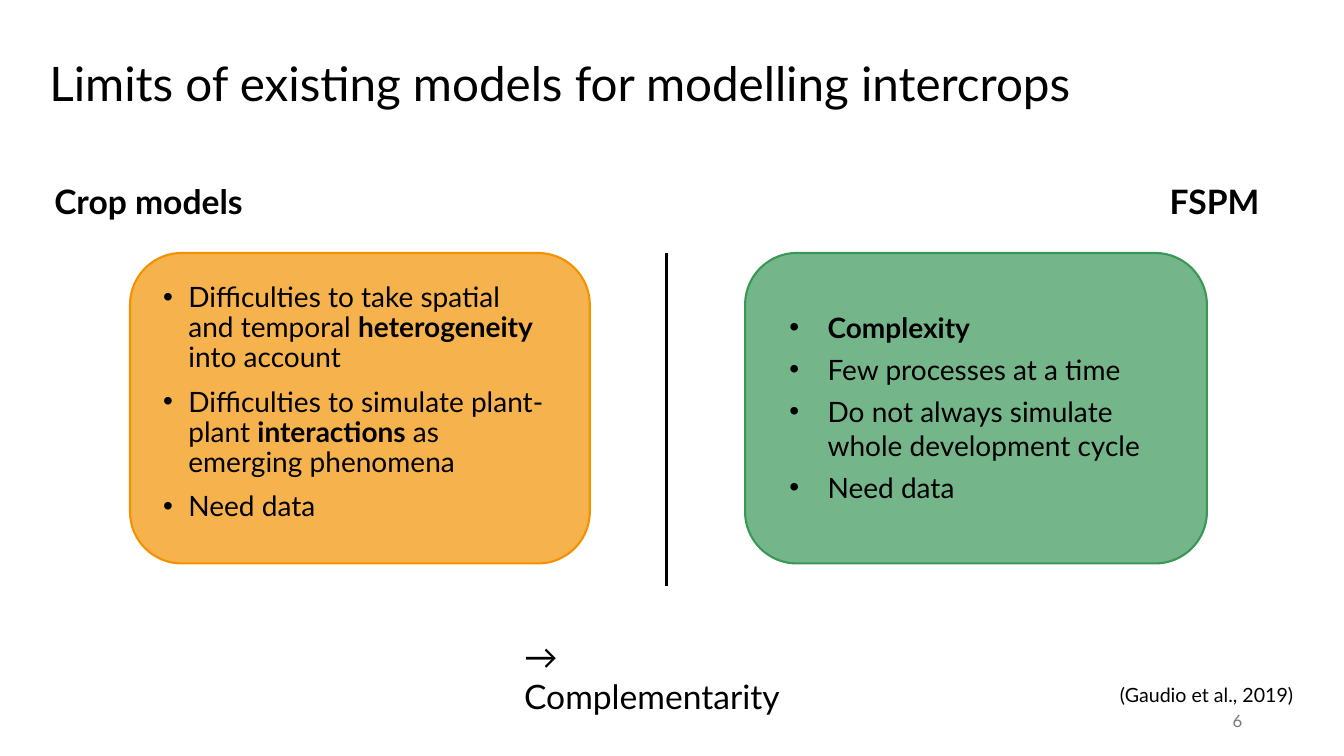
from lxml import etree
from pptx import Presentation
from pptx.dml.color import RGBColor
from pptx.enum.shapes import MSO_CONNECTOR, MSO_SHAPE
from pptx.enum.text import MSO_ANCHOR, PP_ALIGN
from pptx.oxml.ns import qn
from pptx.util import Pt

PX = 9144
FONT = "Lato"
BLACK = RGBColor(0x00, 0x00, 0x00)
GREY = RGBColor(0x79, 0x79, 0x79)
ORANGE = RGBColor(0xF3, 0x92, 0x00)
GREEN = RGBColor(0x39, 0x97, 0x58)
LEFT, RIGHT = PP_ALIGN.LEFT, PP_ALIGN.RIGHT
TOP, MIDDLE = MSO_ANCHOR.TOP, MSO_ANCHOR.MIDDLE
ROUNDED = MSO_SHAPE.ROUNDED_RECTANGLE
STRAIGHT = MSO_CONNECTOR.STRAIGHT
TITLE_ONLY = 5

CROP_LIMITS = [
    [("Difficulties to take spatial and temporal ", False),
     ("heterogeneity ", True), ("into account", False)],
    [("Difficulties to simulate plant-plant ", False),
     ("interactions", True), (" as emerging phenomena", False)],
    [("Need data", False)],
]
FSPM_LIMITS = [
    [("Complexity", True)],
    [("Few processes at a time", False)],
    [("Do not always simulate whole development cycle", False)],
    [("Need data", False)],
]


def px(*lengths):
    return [length * PX for length in lengths]


def set_font(paragraph, size, color=BLACK, bold=None):
    font = paragraph.font
    font.name = FONT
    font.size = Pt(size)
    font.bold = bold
    font.color.rgb = color


def add_title(slide, text, box):
    title = slide.shapes.title
    title.left, title.top, title.width, title.height = px(*box)
    frame = title.text_frame
    frame.text = text
    frame.vertical_anchor = MIDDLE
    paragraph = frame.paragraphs[0]
    paragraph.alignment = LEFT
    paragraph.line_spacing = 0.9
    set_font(paragraph, 34)


def add_frame(slide, box, anchor=TOP):
    frame = slide.shapes.add_textbox(*px(*box)).text_frame
    frame.word_wrap = True
    frame.vertical_anchor = anchor
    return frame


def add_label(slide, text, box, size, align=LEFT, anchor=TOP, color=BLACK, bold=None):
    frame = add_frame(slide, box, anchor)
    frame.text = text
    paragraph = frame.paragraphs[0]
    paragraph.alignment = align
    set_font(paragraph, size, color, bold)
    return frame


def add_heading(slide, text, box, align):
    frame = add_label(slide, text, box, 24, align, MIDDLE, bold=True)
    frame.margin_bottom = 25 * PX


def add_panel(slide, box, color):
    panel = slide.shapes.add_shape(ROUNDED, *px(*box))
    panel.shadow.inherit = False
    panel.fill.solid()
    panel.fill.fore_color.rgb = color
    tint = panel.fill._xPr.find(qn("a:solidFill"))[0]
    etree.SubElement(tint, qn("a:alpha"), val="70000")
    panel.line.color.rgb = color
    panel.line.width = Pt(1.5)


def add_bullets(slide, items, box, indent, line_spacing, before=0, after=0):
    frame = add_frame(slide, box)
    for index, item in enumerate(items):
        paragraph = frame.add_paragraph() if index else frame.paragraphs[0]
        props = paragraph._p.get_or_add_pPr()
        props.set("marL", str(indent * PX))
        props.set("indent", str(-indent * PX))
        etree.SubElement(props, qn("a:buFont"), typeface="Arial")
        etree.SubElement(props, qn("a:buChar"), char="•")
        paragraph.line_spacing = line_spacing
        paragraph.space_before = Pt(before if index else 0)
        paragraph.space_after = Pt(after)
        set_font(paragraph, 20)
        for text, bold in item:
            run = paragraph.add_run()
            run.text = text
            run.font.bold = bold


def add_divider(slide, x, top, bottom):
    divider = slide.shapes.add_connector(STRAIGHT, *px(x, top, x, bottom))
    divider.line.color.rgb = BLACK
    divider.line.width = Pt(2.25)
    etree.SubElement(divider._element.spPr, qn("a:effectLst"))


def main():
    deck = Presentation()
    deck.slide_width, deck.slide_height = px(1333, 750)
    slide = deck.slides.add_slide(deck.slide_layouts[TITLE_ONLY])

    add_panel(slide, (739, 251, 458, 308), GREEN)
    add_panel(slide, (129, 251, 456, 308), ORANGE)
    add_title(slide, "Limits of existing models for modelling intercrops",
              (39, 13, 1150, 145))
    add_bullets(slide, CROP_LIMITS, (152, 276, 402, 257), 25, 0.9, before=10)
    add_heading(slide, "Crop models", (44, 154, 295, 111), LEFT)
    add_heading(slide, "FSPM", (895, 143, 364, 132), RIGHT)
    add_divider(slide, 661, 251, 581)
    add_bullets(slide, FSPM_LIMITS, (773, 303, 370, 204), 38, 1.0, after=6)
    add_label(slide, "(Gaudio et al., 2019)", (1101, 673, 203, 34), 14)
    add_label(slide, "6", (942, 695, 300, 40), 12, RIGHT, MIDDLE, GREY)
    add_label(slide, "→ Complementarity", (510, 626, 300, 50), 24)

    deck.save("out.pptx")


if __name__ == "__main__":
    main()
